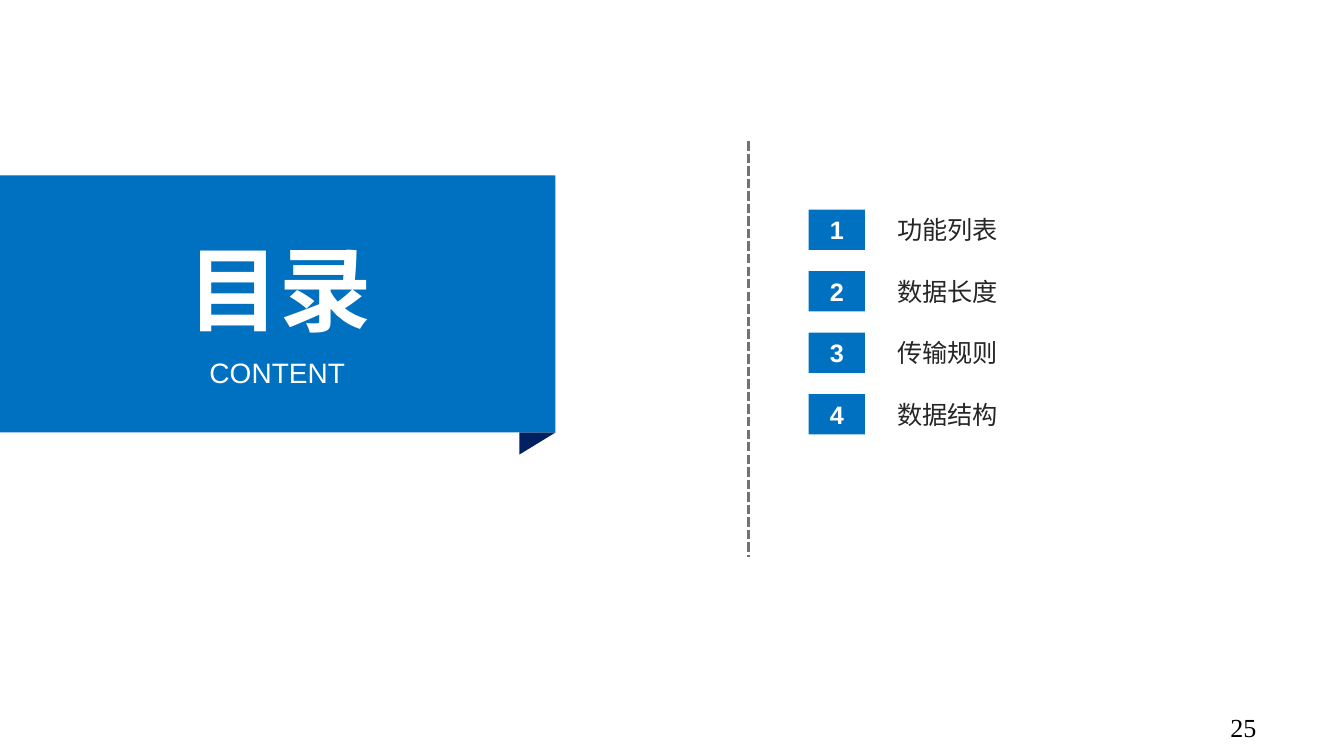
from dataclasses import dataclass

from lxml.etree import SubElement
from pptx import Presentation
from pptx.dml.color import RGBColor
from pptx.enum.dml import MSO_LINE
from pptx.enum.shapes import MSO_CONNECTOR, MSO_SHAPE
from pptx.enum.text import MSO_ANCHOR, MSO_AUTO_SIZE, PP_ALIGN
from pptx.oxml.ns import qn
from pptx.util import Inches, Pt


@dataclass(frozen=True)
class Theme:
    """Colours, fonts and type sizes of the deck."""
    blue: str = "0070C0"
    navy: str = "002060"
    grey: str = "767171"
    ink: str = "262626"
    white: str = "FFFFFF"
    black: str = "000000"
    sans: str = "Arial"
    serif: str = "Times New Roman"
    title: float = 66
    subtitle: float = 20
    item: float = 18
    number: float = 18.6


THEME = Theme()


def colour(value):
    """Turn a hex string into a colour."""
    return RGBColor.from_string(value)


def write(shape, text, size, ink, align=PP_ALIGN.LEFT, anchor=MSO_ANCHOR.TOP,
          bold=False, font=THEME.sans):
    """Write one formatted line into a shape."""
    frame = shape.text_frame
    frame.word_wrap = True
    frame.auto_size = MSO_AUTO_SIZE.NONE
    frame.vertical_anchor = anchor
    para = frame.paragraphs[0]
    para.alignment = align
    span = para.add_run()
    span.text = text
    span.font.name = font
    span.font.size = Pt(size)
    span.font.bold = bold
    span.font.color.rgb = colour(ink)


def add_label(page, box, text, size, ink, **style):
    """Add a text box at the given left, top, width and height."""
    write(page.shapes.add_textbox(*map(Inches, box)), text, size, ink, **style)


def add_block(page, kind, box, fill):
    """Add a flat preset shape without outline or shadow."""
    shape = page.shapes.add_shape(kind, *map(Inches, box))
    shape.shadow.inherit = False
    shape.fill.solid()
    shape.fill.fore_color.rgb = colour(fill)
    shape.line.fill.background()
    return shape


def add_banner(page, box):
    """Place the title banner with its folded corner."""
    left, top, width, height = box
    fold = add_block(page, MSO_SHAPE.RIGHT_TRIANGLE,
                     (left + width - 0.29, top + height - 0.07, 0.22, 0.36), THEME.navy)
    fold.rotation = 90
    add_block(page, MSO_SHAPE.RECTANGLE, box, THEME.blue)
    add_label(page, (left + 1.24, top + 1.74, 3.02, 0.44), "CONTENT",
              THEME.subtitle, THEME.white, align=PP_ALIGN.CENTER)
    title = page.shapes.title
    title.left, title.top = Inches(left + 1.76), Inches(top + 0.51)
    title.width, title.height = Inches(2.17), Inches(1.21)
    write(title, "目录", THEME.title, THEME.white, bold=True)
    title.element.getparent().append(title.element)


def add_divider(page, left, top, height):
    """Draw the dashed vertical rule."""
    rule = page.shapes.add_connector(MSO_CONNECTOR.STRAIGHT, Inches(left), Inches(top),
                                     Inches(left), Inches(top + height))
    rule.line.color.rgb = colour(THEME.grey)
    rule.line.width = Pt(2.25)
    rule.line.dash_style = MSO_LINE.SQUARE_DOT
    dash = rule.line._get_or_add_ln().find(qn("a:prstDash"))
    dash.set("val", "sysDash")
    SubElement(rule.element.spPr, qn("a:effectLst"))


def add_agenda(page, box, topics):
    """Place numbered topics at an equal pitch."""
    left, top, width, height = box
    row, gap = 0.4, 0.78
    pitch = (height - row) / (len(topics) - 1)
    for index, topic in enumerate(topics):
        row_top = top + index * pitch
        tag = add_block(page, MSO_SHAPE.RECTANGLE, (left, row_top, 0.56, row), THEME.blue)
        write(tag, str(index + 1), THEME.item, THEME.white, align=PP_ALIGN.CENTER, bold=True)
        add_label(page, (left + gap, row_top, width - gap, row), topic, THEME.item, THEME.ink)


def add_page_number(page, box):
    """Place the page number."""
    add_label(page, box, "25", THEME.number, THEME.black, align=PP_ALIGN.RIGHT,
              anchor=MSO_ANCHOR.MIDDLE, font=THEME.serif)


def main():
    """Build and save the contents slide."""
    deck = Presentation()
    deck.slide_width, deck.slide_height = Inches(13.33), Inches(7.5)
    page = deck.slides.add_slide(deck.slide_layouts.get_by_name("Title Only"))
    add_page_number(page, (11.81, 6.97, 0.75, 0.48))
    add_banner(page, (0, 1.74, 5.51, 2.55))
    add_divider(page, 7.42, 1.4, 4.13)
    add_agenda(page, (8.02, 2.08, 5.19, 2.23), ["功能列表", "数据长度", "传输规则", "数据结构"])
    deck.save("out.pptx")


if __name__ == "__main__":
    main()
